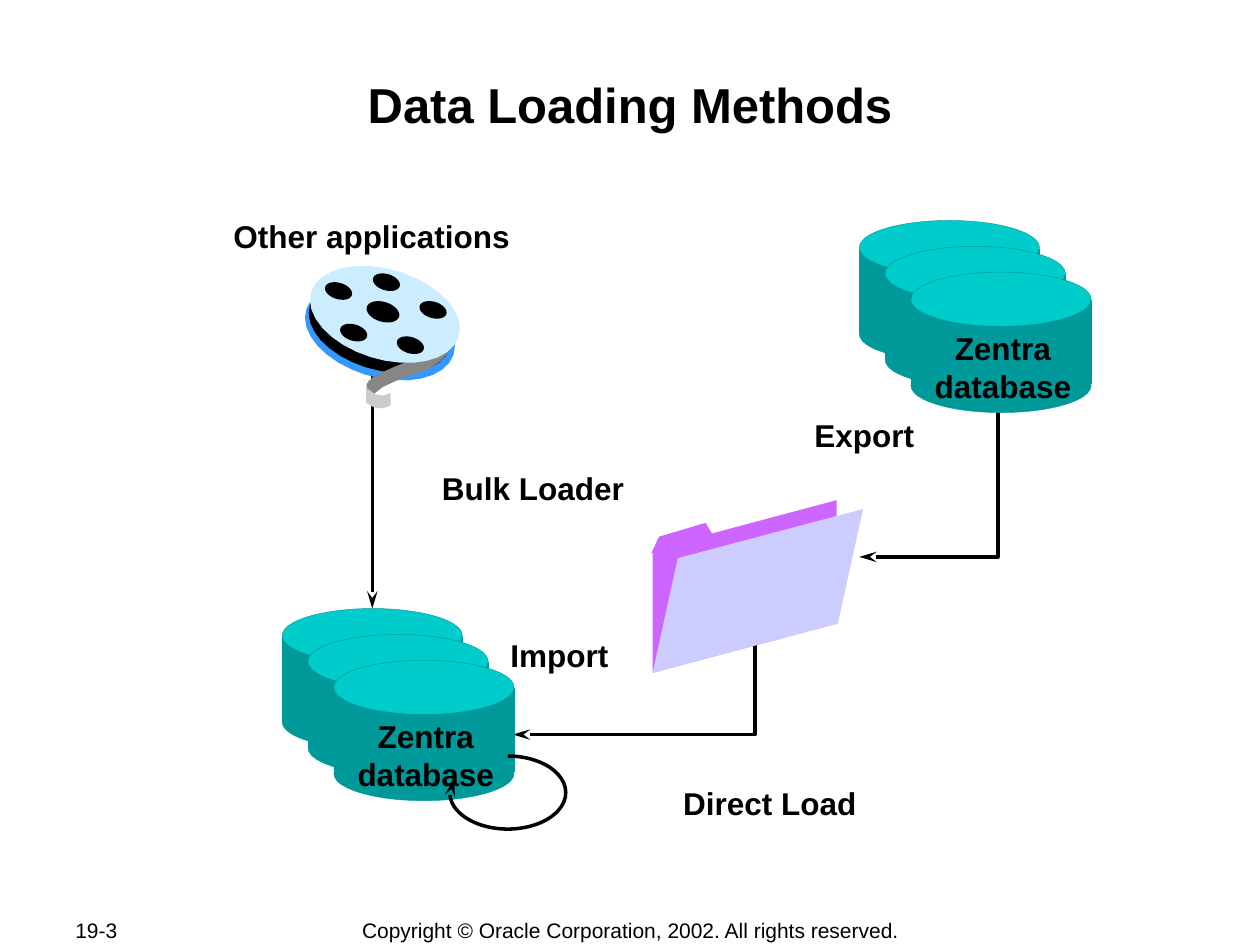
from math import cos, pi, sin

from lxml.etree import SubElement
from pptx import Presentation
from pptx.dml.color import RGBColor
from pptx.enum.shapes import MSO_CONNECTOR, MSO_SHAPE
from pptx.enum.text import MSO_ANCHOR, MSO_AUTO_SIZE, PP_ALIGN
from pptx.oxml.ns import qn
from pptx.util import Inches, Pt

BLACK = "000000"
TEAL, AQUA = "009999", "00CCCC"
PURPLE, LILAC = "CC66FF", "CCCCFF"
BLUE, PALE_BLUE = "3399FF", "CCECFF"
GREY, PALE_GREY = "868686", "CBCBCB"


def grid(*cells):
    """Lengths on a grid of 100 columns by 75 rows over the slide."""
    return [Inches(n / 10) for n in cells]


def color(value):
    return RGBColor.from_string(value)


def paint(sp, fill=None, line=None, width=0.25):
    sp.shadow.inherit = False
    for part, value in ((sp.fill, fill), (sp.line.fill, line)):
        if value:
            part.solid()
            part.fore_color.rgb = color(value)
        else:
            part.background()
    if line:
        sp.line.width = Pt(width)


def add_arrowhead(sp):
    SubElement(sp.line._get_or_add_ln(), qn("a:tailEnd"),
               type="stealth", w="med", len="lg")


def outline(shapes, x, y, points, close=True):
    """Freeform whose points are grid cells from x, y."""
    start, *rest = [grid(x + px, y + py) for px, py in points]
    builder = shapes.build_freeform(*start)
    builder.add_line_segments(rest, close=close)
    return builder.convert_to_shape()


def write(tf, lines, size, bold=True, align=PP_ALIGN.CENTER):
    p = tf.paragraphs[0]
    p.alignment = align
    p.space_before = Pt(0)
    for i, line in enumerate(lines):
        if i:
            p.add_line_break()
        r = p.add_run()
        r.text = line
        r.font.name, r.font.size, r.font.bold = "Arial", Pt(size), bold
        r.font.color.rgb = color(BLACK)


def label(s, box, *lines, wrap=True):
    tf = s.shapes.add_textbox(*grid(*box)).text_frame
    tf.word_wrap = wrap
    tf.auto_size = MSO_AUTO_SIZE.SHAPE_TO_FIT_TEXT
    tf.margin_left = tf.margin_right = Inches(0.05)
    write(tf, lines, 18)


def title(s, box, text):
    sp = s.shapes.title
    sp.left, sp.top, sp.width, sp.height = grid(*box)
    tf = sp.text_frame
    tf.vertical_anchor = MSO_ANCHOR.TOP
    tf.margin_left = tf.margin_right = Inches(0.01)
    tf.margin_top = tf.margin_bottom = Inches(0.01)
    write(tf, [text], 28)


def footer(s, box, text, align, wrap):
    tf = s.shapes.add_textbox(*grid(*box)).text_frame
    tf.word_wrap = wrap
    tf.vertical_anchor = MSO_ANCHOR.MIDDLE
    write(tf, [text], 12, bold=False, align=align)


def elbow(s, x, y, w, h):
    """Arrow down the right side of the box, then left along its bottom."""
    sp = outline(s.shapes, x, y, [(w, 0), (w, h), (0, h)], close=False)
    paint(sp, line=BLACK, width=2)
    add_arrowhead(sp)


def database(s, x, y):
    """Three stepped cylinders with a label; returns the rearmost lid."""
    lids = []
    for i in range(3):
        left, top = x + 2.05 * i, y + 2.05 * i
        group = s.shapes.add_group_shape().shapes
        for kind, dy, h, fill in ((MSO_SHAPE.RECTANGLE, 2.25, 6.6, TEAL),
                                  (MSO_SHAPE.OVAL, 0, 4.3, AQUA),
                                  (MSO_SHAPE.OVAL, 6.85, 4.3, TEAL)):
            sp = group.add_shape(kind, *grid(left, top + dy, 14.3, h))
            paint(sp, fill, TEAL)
            if fill == AQUA:
                lids.append(sp)
    label(s, (x + 5.1, y + 8.1, 12.6, 6.9), "Zentra", "database", wrap=False)
    return lids[0]


def folder(s, x, y):
    group = s.shapes.add_group_shape().shapes
    tab = [(0, 4.2), (0.6, 2.9), (4.3, 1.8), (4.9, 2.8)]
    back = [(14.7, 9.8), (14.7, 0), (0.1, 3.9), (0.1, 13.7)]
    front = [(14.8, 9.8), (16.8, 0.7), (2.1, 4.6), (0.1, 13.7)]
    for points, fill in ((tab, PURPLE), (back, PURPLE), (front, LILAC)):
        paint(outline(group, x, y, points), fill)


def disk(left, top, w, h, steps=32, tilt=0.3):
    """Points of a tilted ellipse that fills the given box."""
    turns = [2 * pi * i / steps for i in range(steps)]
    return [(left + w / 2 * (1 + cos(t)), top + h / 2 * (1 + sin(t + tilt)))
            for t in turns]


def film_reel(s, x, y):
    group = s.shapes.add_group_shape().shapes
    ribbon = [(8.1, 7.6), (6.9, 8.1), (5.6, 8.7), (5.3, 8.9), (5.3, 10.3),
              (6.2, 9.6), (7.3, 9.1), (9.8, 8.2), (10.7, 7.6), (11.3, 7),
              (11.6, 6.1)]
    curl = [(5.4, 8.9), (5.1, 9.1), (4.9, 9.4), (4.9, 10.9), (5.6, 10)]
    tip = [(4.9, 9.7), (5.6, 10.2), (6.2, 10.3), (6.8, 10.1),
           (6.8, 11.1), (6.2, 11.3), (5.6, 11.3), (4.9, 10.9)]
    holes = [(2.8, 4.6), (1.6, 1.3), (5.4, 0.6), (9.1, 2.8), (7.3, 5.6)]
    parts = [(disk(0, 1.4, 11.9, 7.7), BLUE),
             (disk(0.3, 1.2, 11.3, 7.3), BLACK),
             (ribbon, GREY),
             (disk(0.4, 0, 11.9, 7.7), PALE_BLUE)]
    parts += [(disk(*hole, 2.15, 1.4), BLACK) for hole in holes]
    parts += [(disk(4.9, 2.8, 2.6, 1.7), BLACK), (curl, GREY), (tip, PALE_GREY)]
    for points, fill in parts:
        paint(outline(group, x, y, points), fill)


def straight_arrow(s, x, y, target):
    start = grid(x, y)
    line = s.shapes.add_connector(MSO_CONNECTOR.STRAIGHT, *start, *start)
    line.end_connect(target, 0)
    line.line.color.rgb = color(BLACK)
    line.line.width = Pt(2)
    add_arrowhead(line)
    SubElement(line._element.spPr, qn("a:effectLst"))


def loop_arrow(s, *box):
    sp = s.shapes.add_shape(MSO_SHAPE.ARC, *grid(*box))
    for i, degrees in enumerate((270, 194.4)):
        sp.adjustments[i] = degrees * 0.6
    paint(sp, line=BLACK, width=2)
    add_arrowhead(sp)


def main():
    prs = Presentation()
    prs.slide_width, prs.slide_height = grid(100, 75)
    s = prs.slides.add_slide(prs.slide_layouts[5])

    title(s, (10, 5.8, 80, 9.6), "Data Loading Methods")
    footer(s, (5, 72.8, 10.6, 2), "19-3", PP_ALIGN.LEFT, True)
    footer(s, (27.6, 72.8, 44.9, 2.1),
           "Copyright © Oracle Corporation, 2002. All rights reserved.",
           PP_ALIGN.CENTER, False)

    elbow(s, 68.2, 32.5, 11, 11.7)
    elbow(s, 40.7, 50, 19.2, 8.3)
    target_lid = database(s, 22.4, 48.3)
    folder(s, 51.7, 39.7)
    straight_arrow(s, 29.55, 29, target_lid)
    film_reel(s, 24.2, 21.1)
    loop_arrow(s, 35.7, 60, 9.2, 5.8)
    database(s, 68.2, 17.5)

    for text, x, y, w in (("Other applications", 13.1, 16.7, 32.8),
                          ("Bulk Loader", 29.7, 36.7, 25.2),
                          ("Export", 62.4, 32.5, 12.4),
                          ("Import", 38.2, 50, 12.4),
                          ("Direct Load", 47.4, 61.7, 27.4)):
        label(s, (x, y, w, 3.9), text)

    prs.save("out.pptx")


if __name__ == "__main__":
    main()
